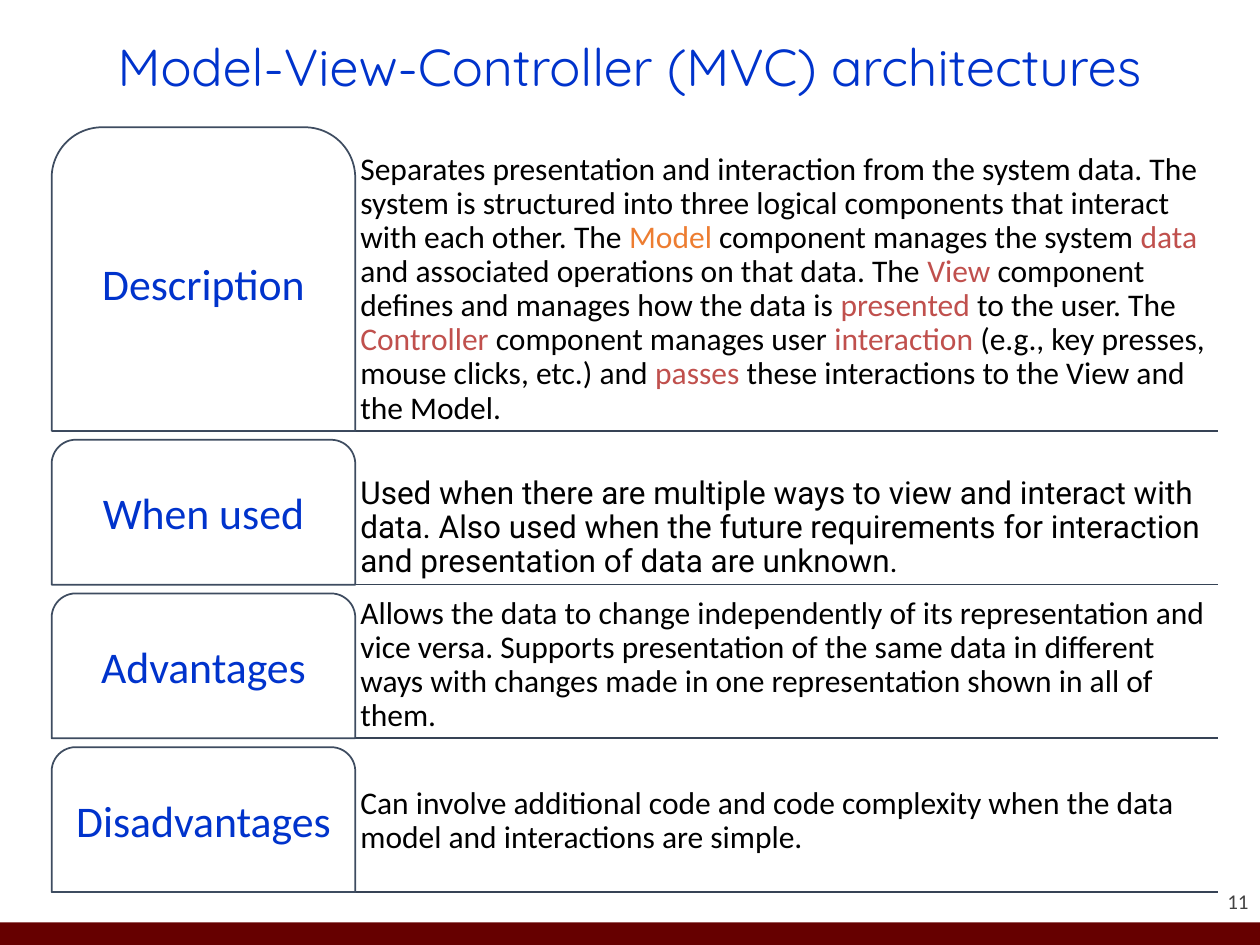
import pptx
import pptx.util
import pptx.dml.color
import pptx.enum.shapes
import pptx.enum.text
import pptx.oxml.ns
from lxml import etree

Inches, Pt = pptx.util.Inches, pptx.util.Pt
SHAPE = pptx.enum.shapes.MSO_SHAPE
ALIGN = pptx.enum.text.PP_ALIGN
ANCHOR = pptx.enum.text.MSO_ANCHOR

# Content
BLUE, BLACK, RED, ORANGE = "0033CC", "000000", "C0504D", "ED7D31"
TITLE = "Model-View-Controller (MVC) architectures"
DESCRIPTION = [
    ("Separates presentation and interaction from the system data. The system is "
     "structured into three logical components that interact with each other. The ", BLACK),
    ("Model", ORANGE),
    (" component manages the system ", BLACK),
    ("data", RED),
    (" and associated operations on that data. The ", BLACK),
    ("View", RED),
    (" component defines and manages how the data is ", BLACK),
    ("presented", RED),
    (" to the user. The ", BLACK),
    ("Controller", RED),
    (" component manages user ", BLACK),
    ("interaction", RED),
    (" (e.g., key presses, mouse clicks, etc.) and ", BLACK),
    ("passes", RED),
    (" these interactions to the View and the Model.", BLACK),
]
WHEN_USED = [("Used when there are multiple ways to view and interact with data. Also used when "
              "the future requirements for interaction and presentation of data are unknown.", BLACK)]
ADVANTAGES = [("Allows the data to change independently of its representation and vice versa. "
               "Supports presentation of the same data in different ways with changes made in "
               "one representation shown in all of them.", BLACK)]
DISADVANTAGES = [("Can involve additional code and code complexity when the data model and "
                  "interactions are simple.", BLACK)]

# label, row height, text height, text font, text runs
ROWS = [
    ("Description", 2.41, 2.41, "Calibri", DESCRIPTION),
    ("When used", 1.15, 1.15, "Roboto", WHEN_USED),
    ("Advantages", 1.15, 1.15, "Calibri", ADVANTAGES),
    ("Disadvantages", 1.15, 0.9, "Calibri", DISADVANTAGES),
]
LEFT, RIGHT, TOP, LABEL_W, GAP = 0.41, 9.67, 1.01, 2.41, 0.07


def rgb(value):
    return pptx.dml.color.RGBColor.from_string(value)


def write(tf, runs, size, font, align, anchor, inset, spacing=0.9):
    tf.word_wrap = True
    tf.auto_size = pptx.enum.text.MSO_AUTO_SIZE.NONE
    tf.vertical_anchor = anchor
    tf.margin_left = tf.margin_right = tf.margin_top = tf.margin_bottom = Inches(inset)
    p = tf.paragraphs[0]
    p.alignment, p.line_spacing = align, spacing
    p.space_before = Pt(0)
    for text, color in runs:
        r = p.add_run()
        r.text = text
        r.font.size, r.font.name = Pt(size), font
        r.font.color.rgb = rgb(color)


def add_box(s, kind, x, y, w, h, fill, line=None):
    sp = s.shapes.add_shape(kind, Inches(x), Inches(y), Inches(w), Inches(h))
    sp.shadow.inherit = False
    sp.fill.solid()
    sp.fill.fore_color.rgb = rgb(fill)
    if line:
        sp.line.color.rgb, sp.line.width = rgb(line), Pt(1)
    else:
        sp.line.fill.background()
    return sp


def add_text(s, x, y, w, h, *args):
    sp = s.shapes.add_textbox(Inches(x), Inches(y), Inches(w), Inches(h))
    write(sp.text_frame, *args)


def add_rule(s, y):
    sp = s.shapes.add_connector(pptx.enum.shapes.MSO_CONNECTOR.STRAIGHT,
                                Inches(LEFT), Inches(y), Inches(RIGHT), Inches(y))
    sp.line.color.rgb, sp.line.width = rgb("364355"), Pt(1)
    etree.SubElement(sp._element.spPr, pptx.oxml.ns.qn("a:effectLst"))


def main():
    prs = pptx.Presentation()
    prs.slide_width, prs.slide_height = Inches(10), Inches(7.5)
    s = prs.slides.add_slide(prs.slide_layouts[5])

    # Footer bar and page number
    add_box(s, SHAPE.RECTANGLE, 0, 7.32, 10, 0.18, "660000")
    add_text(s, 9.08, 6.85, 0.83, 0.4, [("11", "424242")], 12, "Calibri",
             ALIGN.RIGHT, ANCHOR.BOTTOM, 0, 1.0)

    # Title
    title = s.shapes.title
    title.left, title.top = Inches(0.69), Inches(0.08)
    title.width, title.height = Inches(8.62), Inches(0.94)
    write(title.text_frame, [(TITLE, BLUE)], 29.7, "Quicksand",
          ALIGN.CENTER, ANCHOR.MIDDLE, 0.05)

    # Rows: rule below, text on the right, rounded label on the left
    y, text_x = TOP, LEFT + LABEL_W
    for label, row_h, text_h, font, runs in ROWS:
        add_rule(s, y + row_h)
        add_text(s, text_x, y, RIGHT - text_x, text_h, runs, 18, font,
                 ALIGN.LEFT, ANCHOR.BOTTOM, 0.04)
        tab = add_box(s, SHAPE.ROUND_2_SAME_RECTANGLE, LEFT, y, LABEL_W, row_h,
                      "FFFFFF", "3E4C60")
        write(tab.text_frame, [(label, BLUE)], 25, "Calibri",
              ALIGN.CENTER, ANCHOR.MIDDLE, 0.05)
        y += row_h + GAP

    prs.save("out.pptx")


if __name__ == "__main__":
    main()
